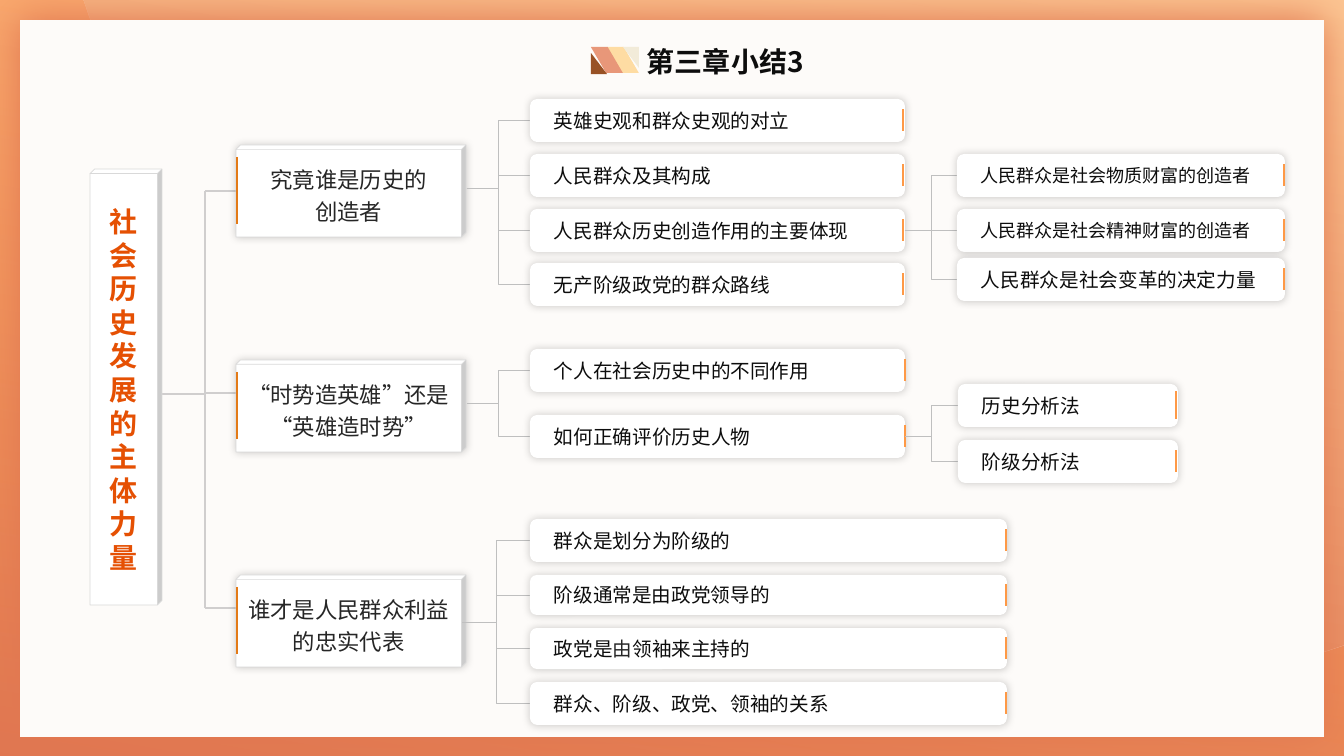
"""Build the chapter summary slide: a mind map of who makes history."""
from itertools import cycle

from lxml.etree import SubElement
from pptx import Presentation
from pptx.dml.color import RGBColor
from pptx.enum.shapes import MSO_CONNECTOR, MSO_SHAPE
from pptx.enum.text import PP_ALIGN
from pptx.oxml.ns import qn
from pptx.util import Emu, Pt

SCALE = 914400 / 100.8
FONT = "Noto Sans CJK SC"
COLOURS = {
    "coral": "E17751", "orange": "FD7201", "peach": "FDD5A6", "paper": "FDFBF9",
    "white": "FFFFFF", "black": "000000", "ink": "0D0D0D", "soft": "262626",
    "root": "E55003", "edge": "D9D9D9", "trunk": "D0CECE", "branch": "BFBFBF",
    "topic_mark": "E37A17", "point_mark": "FE9946",
    "sand": "FEDCA3", "cream": "F2EBD9", "salmon": "E89779", "brown": "985125",
}
TITLE = "第三章小结3"
ROOT = "社会历史发展的主体力量"
TOPICS = [
    ["究竟谁是历史的", "创造者"],
    ["“时势造英雄”还是 “英雄造时势”"],
    ["谁才是人民群众利益的忠实代表"],
]
# Each fan: start of the branch, pill left and width, mark x, then text, top, height, size, mark length.
FANS = [
    ((467, 188), 530, 375, 903, [
        ("英雄史观和群众史观的对立", 99, 43, 14, 22),
        ("人民群众及其构成", 154, 43, 14, 22),
        ("人民群众历史创造作用的主要体现", 209, 43, 14, 22),
        ("无产阶级政党的群众路线", 263, 43, 14, 22)]),
    ((905, 230), 957, 328, 1284, [
        ("人民群众是社会物质财富的创造者", 154, 43, 12.9, 22),
        ("人民群众是社会精神财富的创造者", 209, 43, 12.9, 22),
        ("人民群众是社会变革的决定力量", 258, 43, 14, 22)]),
    ((467, 403), 530, 375, 905, [
        ("个人在社会历史中的不同作用", 349, 43, 14, 22),
        ("如何正确评价历史人物", 415, 43, 14, 22)]),
    ((905, 436), 958, 220, 1176, [
        ("历史分析法", 384, 43, 14, 28),
        ("阶级分析法", 440, 43, 14, 22)]),
    ((462, 622), 530, 477, 1006, [
        ("群众是划分为阶级的", 519, 43, 14, 22),
        ("阶级通常是由政党领导的", 575, 40, 14, 22),
        ("政党是|由|领袖来主持的", 628, 41, 14, 22),
        ("群众、阶级、政党、领袖的关系", 682, 43, 14, 22)]),
]
TRUNK = [
    ((236, 191), (205, 191)), ((236, 393), (205, 393)), ((236, 608), (205, 608)),
    ((205, 191), (205, 608)), ((205, 394), (161, 394)),
]
ICON = [
    (MSO_SHAPE.PARALLELOGRAM, (607, 47, 32, 26), "sand", ["flipH"]),
    (MSO_SHAPE.RIGHT_TRIANGLE, (623, 47, 16, 21), "cream", ["flipH", "flipV"]),
    (MSO_SHAPE.PARALLELOGRAM, (591, 47, 32, 26), "salmon", ["flipH"]),
    (MSO_SHAPE.RIGHT_TRIANGLE, (591, 53, 16, 21), "brown", []),
]
SWOOSH = [(84, 0), (1344, 0), (1344, 645), (1326, 651)]
SWOOSH_CURVES = [
    ((1326, 651), (1232, 680), (1133, 696), (1030, 696)),
    ((1030, 696), (602, 696), (238, 424), (99, 44)),
]


def px(value):
    return Emu(round(value * SCALE))


def colour(name):
    return RGBColor.from_string(COLOURS[name])


def finish(shape, fill=None, edge=None):
    shape.shadow.inherit = False
    if fill:
        shape.fill.solid()
        shape.fill.fore_color.rgb = colour(fill)
    if edge:
        shape.line.color.rgb = colour(edge)
        shape.line.width = Pt(0.5)
    else:
        shape.line.fill.background()
    return shape


def add_block(page, kind, place, fill=None, edge=None):
    return finish(page.shapes.add_shape(kind, *map(px, place)), fill, edge)


def add_glow(shape, name, alpha, blur):
    effects = shape._element.spPr.find(qn("a:effectLst"))
    glow = SubElement(effects, qn("a:outerShdw"), blurRad=str(Pt(blur)), dist="0",
                      algn="ctr", rotWithShape="0")
    tint = SubElement(glow, qn("a:srgbClr"), val=COLOURS[name])
    SubElement(tint, qn("a:alpha"), val=str(alpha * 1000))


def fade(shape, first, last):
    shape.fill.gradient()
    shape.fill.gradient_angle = 80
    for stop, name in zip(shape.fill.gradient_stops, (first, last)):
        stop.color.rgb = colour(name)
    tint = list(shape._element.spPr.iter(qn("a:srgbClr")))[-1]
    SubElement(tint, qn("a:alpha"), val="50000")


def add_line(page, start, end, name, width, kind=MSO_CONNECTOR.STRAIGHT):
    line = page.shapes.add_connector(kind, *map(px, start + end))
    line.line.color.rgb = colour(name)
    line.line.width = Pt(width)
    SubElement(line._element.spPr, qn("a:effectLst"))


def write(box, lines, size, name, align=PP_ALIGN.LEFT, bold=False, pitch=None, indent=0):
    frame = box.text_frame
    frame.word_wrap = True
    for index, line in enumerate(lines):
        para = frame.add_paragraph() if index else frame.paragraphs[0]
        para.alignment = align
        if pitch:
            para.line_spacing = Pt(pitch)
        properties = para._p.get_or_add_pPr()
        properties.set("marL", str(px(indent)))
        font = para.font
        font.size, font.bold, font.name = Pt(size), bold, FONT
        font.color.rgb = colour(name)
        SubElement(properties.find(qn("a:defRPr")), qn("a:ea"), typeface=FONT)
        for text, shade in zip(line.split("|"), cycle([name, "soft"])):
            span = para.add_run()
            span.text = text
            if shade != name:
                span.font.color.rgb = colour(shade)


def curve_points(curve, steps=24):
    for step in range(1, steps + 1):
        t = step / steps
        weights = ((1 - t) ** 3, 3 * t * (1 - t) ** 2, 3 * t * t * (1 - t), t ** 3)
        yield tuple(sum(w * point[axis] for w, point in zip(weights, curve)) for axis in (0, 1))


def add_backdrop(page):
    fade(add_block(page, MSO_SHAPE.RECTANGLE, (0, 0, 1344, 756)), "coral", "orange")
    outline = SWOOSH + [point for curve in SWOOSH_CURVES for point in curve_points(curve)]
    builder = page.shapes.build_freeform(*outline[0], scale=SCALE)
    builder.add_line_segments(outline[1:], close=True)
    fade(finish(builder.convert_to_shape()), "coral", "peach")
    panel = add_block(page, MSO_SHAPE.RECTANGLE, (20, 20, 1304, 717), "paper")
    add_glow(panel, "coral", 100, 30)


def add_title(page):
    title = page.shapes.add_textbox(*map(px, (637, 40, 223, 40)))
    write(title, [TITLE], 20, "ink", bold=True, pitch=24)
    for kind, place, fill, flips in ICON:
        piece = add_block(page, kind, place, fill)
        if kind == MSO_SHAPE.PARALLELOGRAM:
            piece.adjustments[0] = 0.585
        for flip in flips:
            piece._element.spPr.xfrm.set(flip, "1")


def add_topics(page):
    for start, end in TRUNK:
        add_line(page, start, end, "trunk", 1)
    for index, lines in enumerate(TOPICS):
        top = 145 + 215 * index
        cube = add_block(page, MSO_SHAPE.CUBE, (236, top, 230, 92), "white", "edge")
        cube.adjustments[0] = 0.048
        add_glow(cube, "black", 20, 6)
        write(cube, lines, 16, "soft", PP_ALIGN.CENTER, pitch=23)
        add_line(page, (237, top + 12), (237, top + 79), "topic_mark", 2)
    root = add_block(page, MSO_SHAPE.CUBE, (90, 169, 72, 436), "white", "edge")
    root.adjustments[0] = 0.063
    write(root, [ROOT], 20, "root", PP_ALIGN.CENTER, bold=True, pitch=24)


def add_fan(page, start, left, width, mark_x, points):
    for text, top, height, size, mark in points:
        middle = top + height / 2
        add_line(page, start, (left, middle), "branch", 0.25, MSO_CONNECTOR.ELBOW)
        pill = add_block(page, MSO_SHAPE.ROUNDED_RECTANGLE, (left, top, width, height), "white")
        add_glow(pill, "black", 20, 6)
        write(pill, [text], size, "ink", indent=12)
        add_line(page, (mark_x, middle - mark / 2), (mark_x, middle + mark / 2), "point_mark", 2)


def main():
    deck = Presentation()
    deck.slide_width, deck.slide_height = px(1344), px(756)
    page = deck.slides.add_slide(deck.slide_layouts[6])
    add_backdrop(page)
    add_topics(page)
    add_title(page)
    for fan in FANS:
        add_fan(page, *fan)
    deck.save("out.pptx")


if __name__ == "__main__":
    main()
